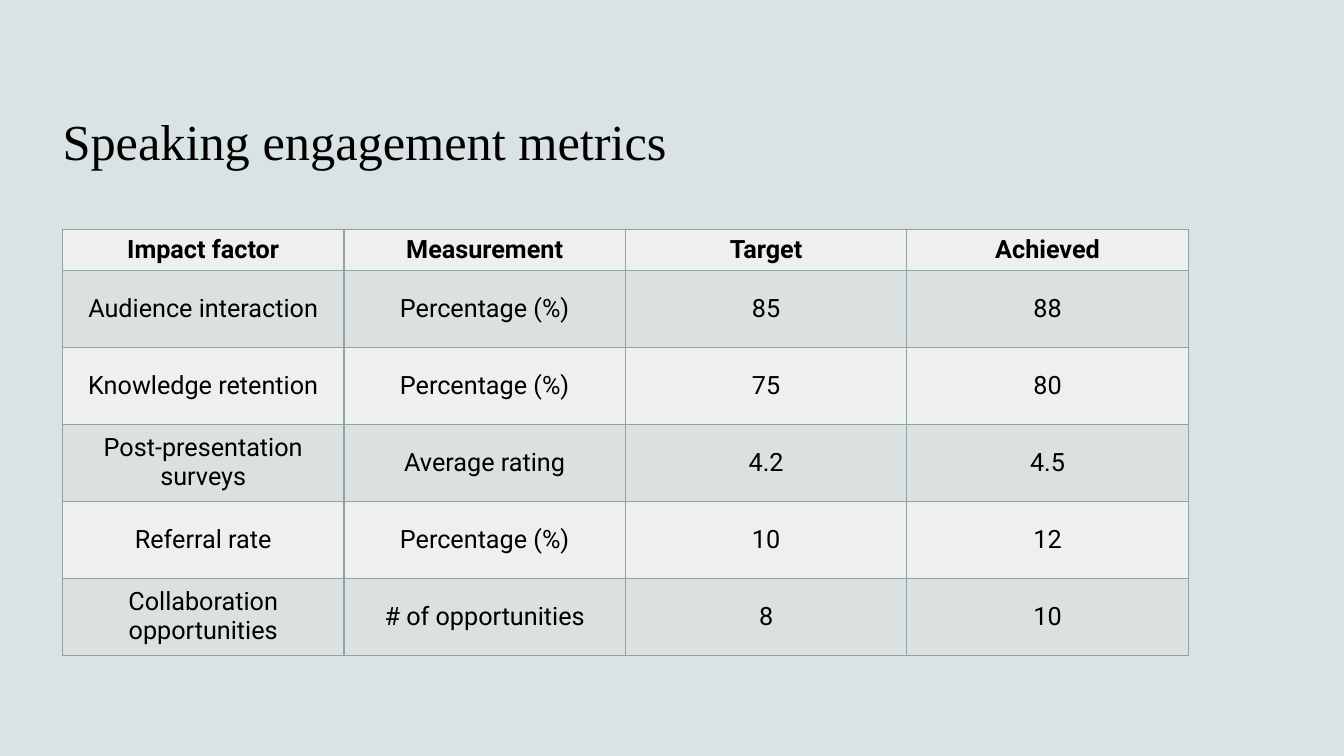
from dataclasses import dataclass

from lxml import etree
from pptx import Presentation
from pptx.dml.color import RGBColor
from pptx.enum import text
from pptx.oxml import ns
from pptx.util import Pt

COLORS = {
    "background": "DAE3E3",
    "text": "000000",
    "border": "8FA3A3",
    "light": "EEF0F0",
    "dark": "DBE0E0",
}
LEFT = 44.64
COLUMN_WIDTH = 201.06
HEADER_HEIGHT = 28.8
ROW_HEIGHT = 55
BORDER_WIDTH = 1


@dataclass(frozen=True)
class Metric:
    factor: str
    measurement: str
    target: str
    achieved: str

    def values(self) -> tuple[str, ...]:
        return self.factor, self.measurement, self.target, self.achieved


HEADER = Metric("Impact factor", "Measurement", "Target", "Achieved")
METRICS = [
    Metric("Audience interaction", "Percentage (%)", "85", "88"),
    Metric("Knowledge retention", "Percentage (%)", "75", "80"),
    Metric("Post-presentation surveys", "Average rating", "4.2", "4.5"),
    Metric("Referral rate", "Percentage (%)", "10", "12"),
    Metric("Collaboration opportunities", "# of opportunities", "8", "10"),
]


def rgb(name: str) -> RGBColor:
    return RGBColor.from_string(COLORS[name])


def set_font(p, name: str, size: float, bold: bool = False) -> None:
    p.font.name = name
    p.font.size = Pt(size)
    p.font.bold = bold
    p.font.color.rgb = rgb("text")


def add_borders(cell) -> None:
    """Outline all four sides; call before filling the cell."""
    tc_pr = cell._tc.get_or_add_tcPr()
    for side in ("lnL", "lnR", "lnT", "lnB"):
        ln = etree.SubElement(tc_pr, ns.qn(f"a:{side}"), w=str(Pt(BORDER_WIDTH)))
        fill = etree.SubElement(ln, ns.qn("a:solidFill"))
        etree.SubElement(fill, ns.qn("a:srgbClr"), val=COLORS["border"])


def style_cell(cell, value: str, fill: str, bold: bool) -> None:
    add_borders(cell)
    cell.fill.solid()
    cell.fill.fore_color.rgb = rgb(fill)
    cell.vertical_anchor = text.MSO_ANCHOR.MIDDLE
    p = cell.text_frame.paragraphs[0]
    p.text = value
    p.alignment = text.PP_ALIGN.CENTER
    set_font(p, "Roboto", 18, bold)


def add_title(slide, title: str) -> None:
    sp = slide.shapes.add_textbox(Pt(LEFT), Pt(31.68), Pt(869.76), Pt(93.6))
    tf = sp.text_frame
    tf.word_wrap = True
    tf.vertical_anchor = text.MSO_ANCHOR.BOTTOM
    tf.margin_left = 0
    p = tf.paragraphs[0]
    p.text = title
    set_font(p, "Times New Roman", 36)


def add_metrics_table(slide) -> None:
    rows = [HEADER, *METRICS]
    columns = len(HEADER.values())
    height = HEADER_HEIGHT + ROW_HEIGHT * len(METRICS)
    table = slide.shapes.add_table(
        len(rows), columns, Pt(LEFT), Pt(164.16),
        Pt(COLUMN_WIDTH * columns), Pt(height),
    ).table
    table.first_row = False
    table.horz_banding = False
    for column in table.columns:
        column.width = Pt(COLUMN_WIDTH)
    for i, metric in enumerate(rows):
        table.rows[i].height = Pt(ROW_HEIGHT if i else HEADER_HEIGHT)
        fill = "dark" if i % 2 else "light"
        for j, value in enumerate(metric.values()):
            style_cell(table.cell(i, j), value, fill, bold=i == 0)


def main() -> None:
    prs = Presentation()
    prs.slide_width, prs.slide_height = Pt(960), Pt(540)
    slide = prs.slides.add_slide(prs.slide_layouts[6])
    slide.background.fill.solid()
    slide.background.fill.fore_color.rgb = rgb("background")
    add_title(slide, "Speaking engagement metrics")
    add_metrics_table(slide)
    prs.save("out.pptx")


if __name__ == "__main__":
    main()
